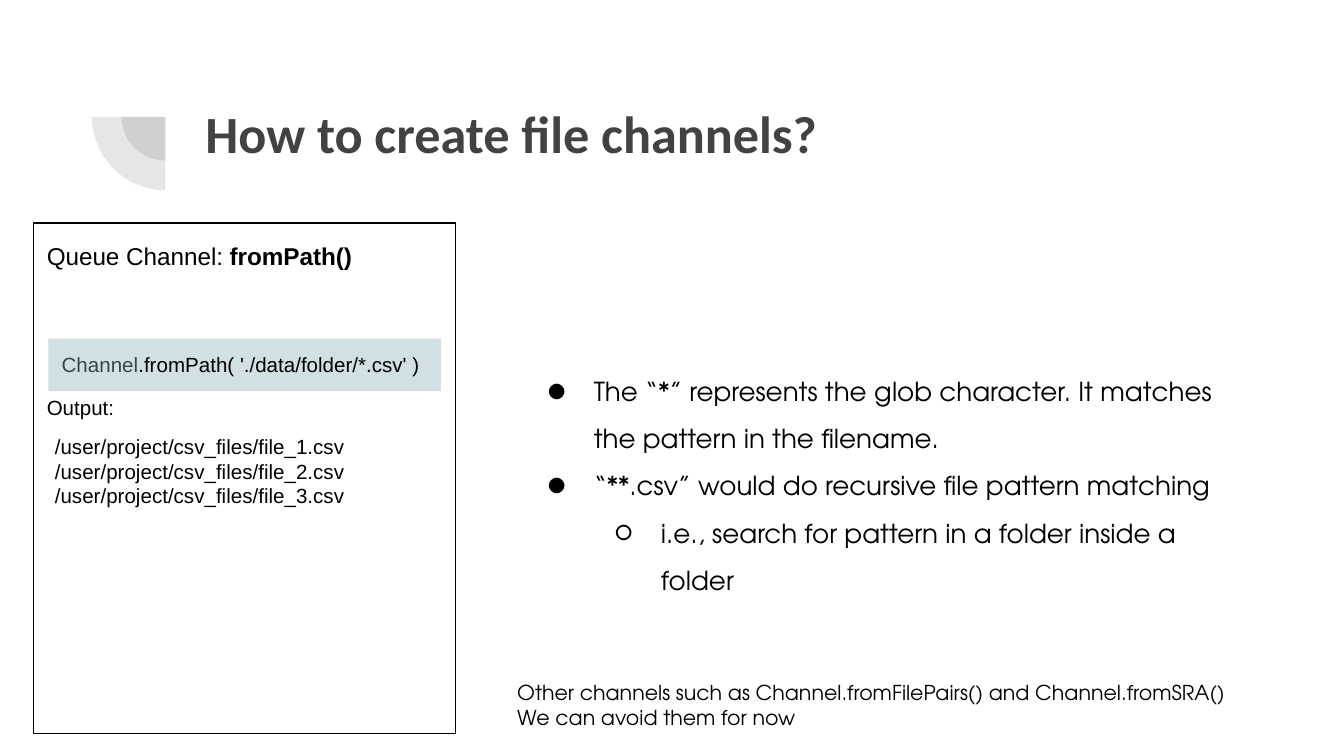
"""Build the slide on creating file channels."""
from lxml import etree
from pptx import Presentation
from pptx import util as u
from pptx.dml.color import RGBColor
from pptx.enum import shapes, text
from pptx.oxml.ns import qn

BLACK = RGBColor(0x00, 0x00, 0x00)
GREY = RGBColor(0x42, 0x42, 0x42)
SLATE = RGBColor(0x36, 0x46, 0x4E)
TEAL = RGBColor(0xD0, 0xE0, 0xE3)
HEADING, CODE, PROSE = "Calibri", "Arial", "TeX Gyre Adventor"


def write(box, lines, font, size, color=BLACK, bold=False, spacing=1.0):
    frame = box.text_frame
    frame.word_wrap = True
    frame.vertical_anchor = text.MSO_ANCHOR.TOP
    frame.margin_left = frame.margin_right = u.Inches(0.1)
    frame.margin_top = frame.margin_bottom = u.Inches(0.1)
    for index, spans in enumerate(lines):
        para = frame.add_paragraph() if index else frame.paragraphs[0]
        para.alignment = text.PP_ALIGN.LEFT
        para.line_spacing = spacing
        para.font.name, para.font.size = font, u.Pt(size)
        para.font.bold, para.font.color.rgb = bold, color
        for content in spans:
            para.add_run().text = content
    return frame.paragraphs


def add_box(left, top, width, height, kind=None):
    place = [u.Inches(value) for value in (left, top, width, height)]
    if kind is None:
        return page.shapes.add_textbox(*place)
    shape = page.shapes.add_shape(kind, *place)
    shape.shadow.inherit = False
    return shape


deck = Presentation()
deck.slide_width = u.Inches(10)
deck.slide_height = u.Inches(10 * 9 / 16)
page = deck.slides.add_slide(deck.slide_layouts[6])

for size in (0.65, 1.09):
    wedge = add_box(1.23 - size / 2, 0.87 - size / 2, size, size, shapes.MSO_SHAPE.PIE)
    wedge.adjustments[0], wedge.adjustments[1] = 108, 162
    wedge.rotation = 270
    wedge.line.fill.background()
    wedge.fill.solid()
    wedge.fill.fore_color.rgb = GREY
    tint = wedge.fill._xPr.find(qn("a:solidFill"))[0]
    etree.SubElement(tint, qn("a:alpha"), val="13000")

write(add_box(1.43, 0.65, 7.69, 1.09), [["How to create file channels?"]],
      HEADING, 28, GREY, bold=True)

panel = add_box(0.25, 1.66, 3.14, 3.8, shapes.MSO_SHAPE.RECTANGLE)
panel.fill.background()
panel.line.color.rgb = BLACK
panel.line.width = u.Pt(0.75)
queue, output = write(panel, [["Queue Channel: ", "fromPath()"], ["Output:"]],
                      CODE, 13, spacing=1.15)
queue.runs[1].font.bold = True
output.font.size = u.Pt(11)
output.space_before = u.Pt(65)

bar = add_box(0.36, 2.52, 2.92, 0.39, shapes.MSO_SHAPE.RECTANGLE)
bar.fill.solid()
bar.fill.fore_color.rgb = TEAL
bar.line.fill.background()
call = write(bar, [["Channel", ".fromPath( './data/folder/*.csv' )"]], CODE, 11)[0]
call.runs[0].font.color.rgb = SLATE

write(add_box(0.31, 3.13, 2.52, 0.76),
      [[f"/user/project/csv_files/file_{number}.csv"] for number in (1, 2, 3)], CODE, 11)

notes = [
    (0, "●", "The “*” represents the glob character. It matches the pattern in the filename."),
    (0, "●", "“**.csv” would do recursive file pattern matching"),
    (1, "○", "i.e., search for pattern in a folder inside a folder"),
]
paras = write(add_box(3.82, 2.58, 5.54, 1.5), [[note] for _, _, note in notes],
              PROSE, 14, spacing=1.5)
for para, (level, mark, _) in zip(paras, notes):
    para.level = level
    props = para._p.get_or_add_pPr()
    props.set("marL", str(u.Inches(0.5 + 0.5 * level)))
    props.set("indent", str(u.Inches(-0.35)))
    tint = etree.Element(qn("a:buClr"))
    etree.SubElement(tint, qn("a:srgbClr"), val=str(BLACK))
    face = etree.Element(qn("a:buFont"), typeface=PROSE)
    bullet = etree.Element(qn("a:buChar"), char=mark)
    for part in (tint, face, bullet):
        props.find(qn("a:defRPr")).addprevious(part)

write(add_box(3.75, 4.96, 5.68, 0.57),
      [["Other channels such as Channel.fromFilePairs() and Channel.fromSRA()"],
       ["We can avoid them for now"]], PROSE, 11)

deck.save("out.pptx")
